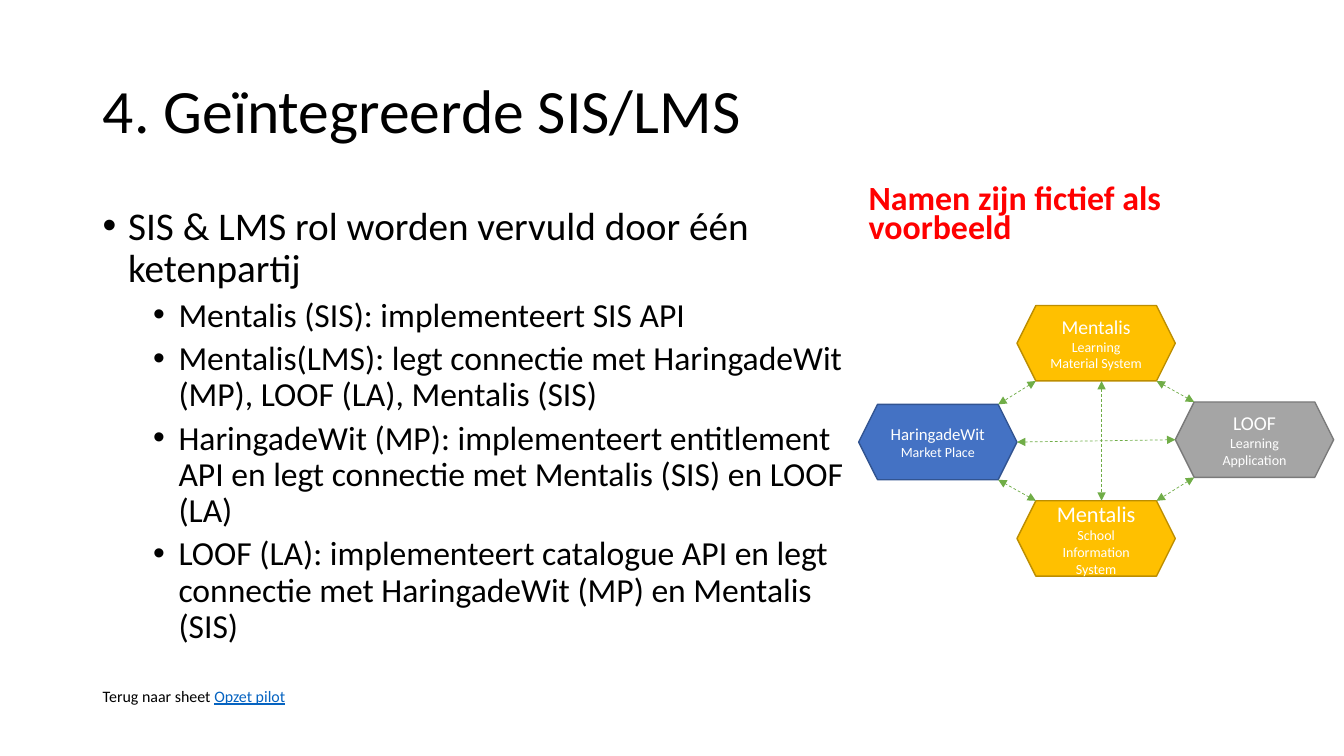
from lxml.etree import SubElement
from pptx import Presentation
from pptx.dml.color import RGBColor
from pptx.enum.dml import MSO_LINE
from pptx.enum.shapes import MSO_CONNECTOR, MSO_SHAPE
from pptx.enum.text import MSO_ANCHOR as Anchor, MSO_AUTO_SIZE as AutoSize, PP_ALIGN as Align
from pptx.oxml.ns import qn
from pptx.util import Cm, Pt

BLACK = RGBColor(0x00, 0x00, 0x00)
WHITE = RGBColor(0xFF, 0xFF, 0xFF)
RED = RGBColor(0xFF, 0x00, 0x00)
LINK_BLUE = RGBColor(0x05, 0x63, 0xC1)
BLUE = RGBColor(0x44, 0x72, 0xC4)
DARK_BLUE = RGBColor(0x32, 0x54, 0x91)
GOLD = RGBColor(0xFF, 0xC0, 0x00)
DARK_GOLD = RGBColor(0xBD, 0x8E, 0x00)
GREY = RGBColor(0xA5, 0xA5, 0xA5)
DARK_GREY = RGBColor(0x7A, 0x7A, 0x7A)
GREEN = RGBColor(0x70, 0xAD, 0x47)
FONT = "Calibri"

TITLE = "4. Geïntegreerde SIS/LMS"
BULLETS = [
    (0, "SIS & LMS rol worden vervuld door één ketenpartij"),
    (1, "Mentalis (SIS): implementeert SIS API"),
    (1, "Mentalis(LMS): legt connectie met HaringadeWit (MP), LOOF (LA), Mentalis (SIS)"),
    (1, "HaringadeWit (MP): implementeert entitlement API en legt connectie met "
        "Mentalis (SIS) en LOOF (LA)"),
    (1, "LOOF (LA): implementeert catalogue API en legt connectie met "
        "HaringadeWit (MP) en Mentalis (SIS)"),
]
LEVELS = [
    {"size": 28, "margin": 0.64, "before": 10},
    {"size": 24, "margin": 1.91, "before": 5},
]
HANGING = 0.64
FOOTER = [("Terug naar sheet ", BLACK, False), ("Opzet pilot", LINK_BLUE, True)]
WARNING = "Namen zijn fictief als voorbeeld"

HEX_WIDTH, HEX_HEIGHT = 3.99, 1.9
HEX_INSET = HEX_HEIGHT / 4
GRID_LEFT = 21.64
PARTIES = {
    "lms": (1, 7.7, GOLD, DARK_GOLD, 14, ["Mentalis", "Learning Material System"]),
    "market": (0, 10.19, BLUE, DARK_BLUE, 12, ["HaringadeWit", "Market Place"]),
    "application": (2, 10.13, GREY, DARK_GREY, 14, ["LOOF", "Learning Application"]),
    "sis": (1, 12.62, GOLD, DARK_GOLD, 16, ["Mentalis", "School", "Information System"]),
}
HEX_POINTS = {
    "top left": (HEX_INSET, 0),
    "top right": (HEX_WIDTH - HEX_INSET, 0),
    "left": (0, HEX_HEIGHT / 2),
    "right": (HEX_WIDTH, HEX_HEIGHT / 2),
    "bottom left": (HEX_INSET, HEX_HEIGHT),
    "bottom right": (HEX_WIDTH - HEX_INSET, HEX_HEIGHT),
    "top middle": (2.13, 0),
    "bottom middle": (2.13, HEX_HEIGHT),
}
LINKS = [
    ("lms", "bottom middle", "sis", "top middle"),
    ("market", "right", "application", "left"),
    ("lms", "bottom left", "market", "top right"),
    ("sis", "top left", "market", "bottom right"),
    ("lms", "bottom right", "application", "top left"),
    ("application", "bottom left", "sis", "top right"),
]


def apply(target, **values):
    for name, value in values.items():
        setattr(target, name, value)


def add_run(paragraph, text, size, color, **extra):
    run = paragraph.add_run()
    run.text = text
    apply(run.font, name=FONT, size=Pt(size), **extra)
    run.font.color.rgb = color


def next_paragraph(frame, index):
    return frame.add_paragraph() if index else frame.paragraphs[0]


def add_text_box(slide, left, top, width, height, anchor=Anchor.TOP):
    frame = slide.shapes.add_textbox(Cm(left), Cm(top), Cm(width), Cm(height)).text_frame
    apply(frame, word_wrap=True, auto_size=AutoSize.NONE, vertical_anchor=anchor)
    return frame


def add_title(slide):
    title = slide.shapes.title
    apply(title, left=Cm(2.34), top=Cm(1.02), width=Cm(29.21), height=Cm(3.68))
    frame = title.text_frame
    apply(frame, word_wrap=True, auto_size=AutoSize.NONE, vertical_anchor=Anchor.MIDDLE)
    paragraph = frame.paragraphs[0]
    apply(paragraph, alignment=Align.LEFT, line_spacing=0.9)
    add_run(paragraph, TITLE, 44, BLACK)


def add_bullets(slide):
    frame = add_text_box(slide, 2.34, 5.08, 19.18, 12.83)
    for index, (level, text) in enumerate(BULLETS):
        style = LEVELS[level]
        paragraph = next_paragraph(frame, index)
        apply(paragraph, level=level, line_spacing=0.9, space_before=Pt(style["before"]))
        properties = paragraph._p.get_or_add_pPr()
        properties.set("marL", str(Cm(style["margin"])))
        properties.set("indent", str(-Cm(HANGING)))
        SubElement(properties, qn("a:buFont"), typeface="Arial")
        SubElement(properties, qn("a:buChar"), char="•")
        add_run(paragraph, text, style["size"], BLACK)


def add_party(slide, column, top, fill, outline, name_size, lines):
    left = GRID_LEFT + column * HEX_WIDTH
    shape = slide.shapes.add_shape(
        MSO_SHAPE.HEXAGON, Cm(left), Cm(top), Cm(HEX_WIDTH), Cm(HEX_HEIGHT))
    shape.shadow.inherit = False
    shape.fill.solid()
    shape.fill.fore_color.rgb = fill
    shape.line.color.rgb = outline
    shape.line.width = Pt(1)
    frame = shape.text_frame
    apply(frame, word_wrap=True, vertical_anchor=Anchor.MIDDLE)
    for index, text in enumerate(lines):
        paragraph = next_paragraph(frame, index)
        paragraph.alignment = Align.CENTER
        add_run(paragraph, text, 10 if index else name_size, WHITE)


def hexagon_point(party, point):
    column, top = PARTIES[party][:2]
    x, y = HEX_POINTS[point]
    return Cm(GRID_LEFT + column * HEX_WIDTH + x), Cm(top + y)


def add_link(slide, start, start_point, end, end_point):
    connector = slide.shapes.add_connector(
        MSO_CONNECTOR.STRAIGHT,
        *hexagon_point(start, start_point), *hexagon_point(end, end_point))
    connector.line.color.rgb = GREEN
    apply(connector.line, width=Pt(0.5), dash_style=MSO_LINE.DASH)
    outline = connector.line._get_or_add_ln()
    for arrowhead in ("a:headEnd", "a:tailEnd"):
        SubElement(outline, qn(arrowhead), type="triangle")
    SubElement(connector._element.spPr, qn("a:effectLst"))


def add_footer(slide):
    paragraph = add_text_box(slide, 2.34, 17.3, 14.45, 0.58).paragraphs[0]
    apply(paragraph, line_spacing=0.7, space_before=Pt(10))
    for text, color, underline in FOOTER:
        add_run(paragraph, text, 11.4, color, underline=underline)


def add_warning(slide):
    paragraph = add_text_box(slide, 21.64, 4.75, 11.4, 1.4, Anchor.MIDDLE).paragraphs[0]
    paragraph.line_spacing = 0.7
    add_run(paragraph, WARNING, 24.2, RED, bold=True)


def main():
    presentation = Presentation()
    apply(presentation, slide_width=Cm(33.87), slide_height=Cm(19.05))
    slide = presentation.slides.add_slide(presentation.slide_layouts[5])
    add_title(slide)
    add_bullets(slide)
    for party in PARTIES.values():
        add_party(slide, *party)
    for link in LINKS:
        add_link(slide, *link)
    add_footer(slide)
    add_warning(slide)
    presentation.save("out.pptx")


if __name__ == "__main__":
    main()
